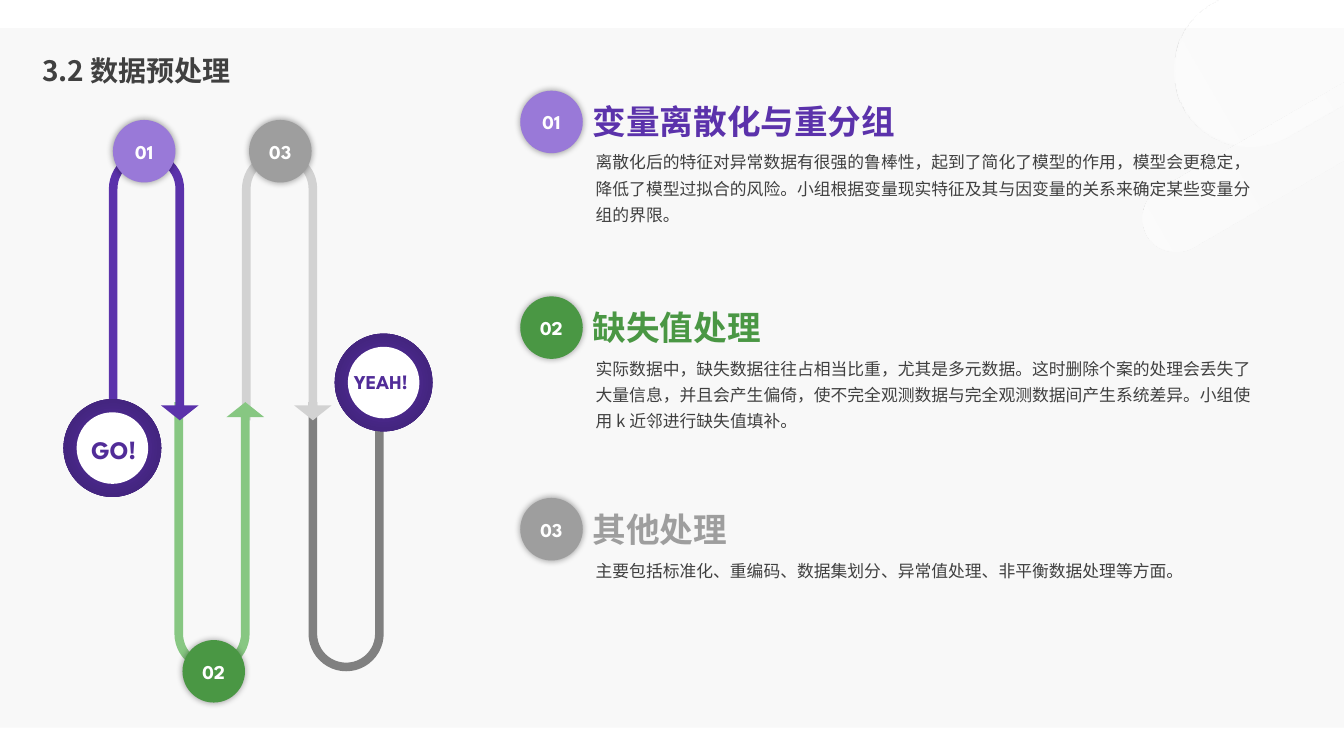
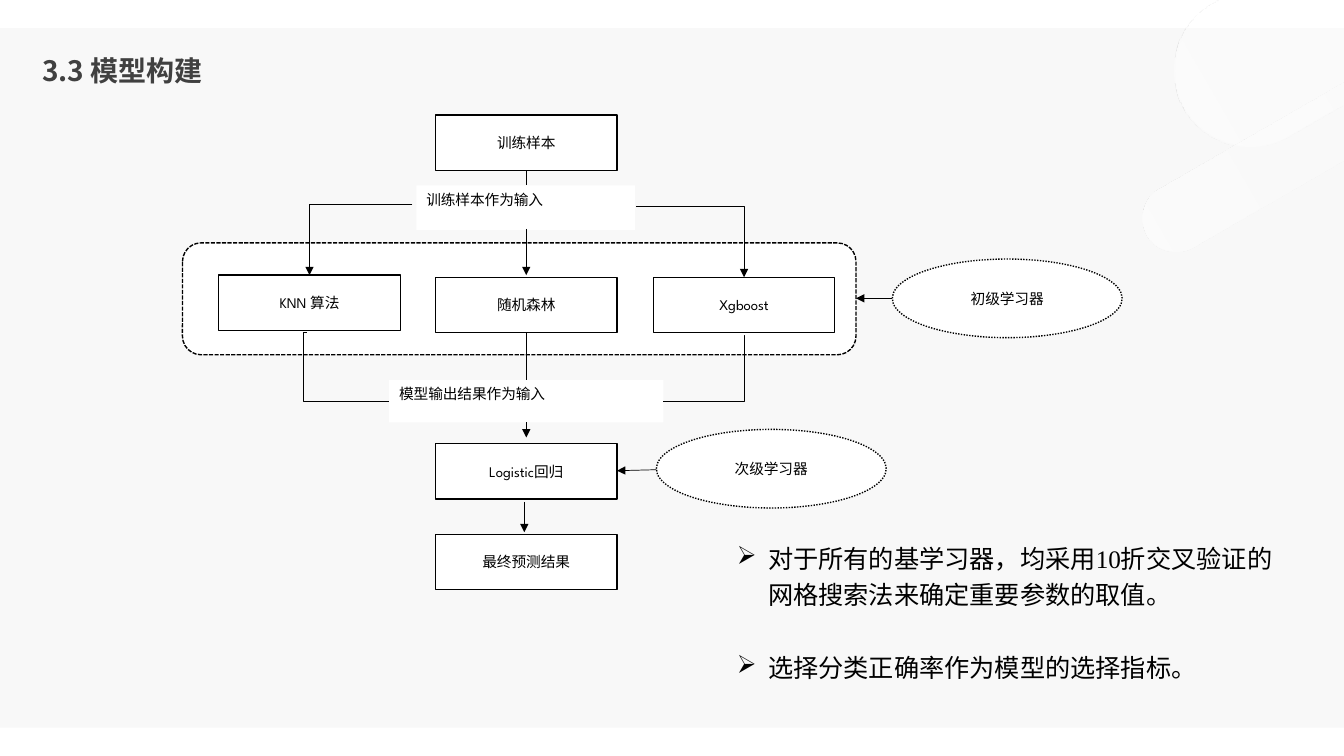
from lxml import etree
from pptx import Presentation
from pptx.dml.color import RGBColor
from pptx.enum.dml import MSO_LINE_DASH_STYLE as DASH
from pptx.enum.shapes import MSO_CONNECTOR as CONN, MSO_SHAPE as SHAPE
from pptx.enum.text import MSO_ANCHOR as ANCHOR, PP_ALIGN as ALIGN
from pptx.oxml import parse_xml
from pptx.oxml.ns import nsdecls, qn
from pptx.util import Pt

PX = 9144  # EMU, 100 px to the inch
WHITE = RGBColor(0xFF, 0xFF, 0xFF)
BLACK = RGBColor(0x00, 0x00, 0x00)
PANEL = RGBColor(0xF8, 0xF8, 0xF8)
INK = RGBColor(0x40, 0x40, 0x40)
PURPLE = RGBColor(0x5B, 0x32, 0xAB)
DEEP_PURPLE = RGBColor(0x51, 0x2C, 0x98)
LILAC = RGBColor(0x99, 0x79, 0xD8)
GREEN = RGBColor(0x4A, 0x97, 0x44)
LIGHT_GREEN = RGBColor(0x87, 0xC7, 0x82)
GRAY = RGBColor(0x9E, 0x9E, 0x9E)
LIGHT_GRAY = RGBColor(0xD2, 0xD2, 0xD2)
DARK_GRAY = RGBColor(0x80, 0x80, 0x80)
SANS, SPARTAN = "Noto Sans CJK SC", "League Spartan"

# Gradients: (position %, colour, opacity %) stops and a direction
GLASS = ([(0, "FFFFFF", 50), (21, "FFFFFF", 29), (85, "FFFFFF", 0), (100, "FFFFFF", 0)],
         '<a:lin ang="0" scaled="0"/>')
RING = ([(0, "512C98", 100), (23, "512C98", 100), (69, "442580", 100), (97, "402378", 100)],
        '<a:path path="circle"><a:fillToRect l="50000" t="50000" r="50000" b="50000"/></a:path>')


def add_box(s, kind, x, y, w, h, fill, line=None, dash=None, shadow=False):
    sp = s.shapes.add_shape(kind, x * PX, y * PX, w * PX, h * PX)
    sp.shadow.inherit = False
    spPr = sp._element.spPr
    if isinstance(fill, RGBColor):
        sp.fill.solid()
        sp.fill.fore_color.rgb = fill
    else:
        stops, direction = fill
        gs = "".join(f'<a:gs pos="{pos * 1000}"><a:srgbClr val="{color}">'
                     f'<a:alpha val="{alpha * 1000}"/></a:srgbClr></a:gs>'
                     for pos, color, alpha in stops)
        sp.fill.background()
        spPr.replace(spPr.find(qn("a:noFill")), parse_xml(
            f'<a:gradFill {nsdecls("a")} rotWithShape="1"><a:gsLst>{gs}</a:gsLst>'
            f'{direction}</a:gradFill>'))
    if line is None:
        sp.line.fill.background()
    else:
        sp.line.color.rgb = line
        sp.line.width = Pt(1)
        if dash:
            sp.line.dash_style = dash
    if shadow:
        spPr.find(qn("a:effectLst")).append(parse_xml(
            f'<a:outerShdw {nsdecls("a")} blurRad="63500" rotWithShape="0">'
            '<a:srgbClr val="000000"><a:alpha val="40000"/></a:srgbClr></a:outerShdw>'))
    return sp


def write(tf, text, p=None, size=12, color=INK, font=SANS, bold=False, align=ALIGN.LEFT,
          anchor=ANCHOR.TOP, spacing=1.0, before=0, inset=10, wrap=True):
    tf.word_wrap = wrap
    tf.vertical_anchor = anchor
    tf.margin_left = tf.margin_right = inset * PX
    p = p or tf.paragraphs[0]
    p.alignment = align
    p.line_spacing = spacing
    p.space_before = Pt(before)
    r = p.add_run()
    r.text = text
    r.font.size = Pt(size)
    r.font.bold = bold
    r.font.color.rgb = color
    r.font.name = font
    etree.SubElement(r.font._element, qn("a:ea")).set("typeface", SANS)


prs = Presentation()
prs.slide_width, prs.slide_height = 1333 * PX, 750 * PX

# Shared panel, corner bands and title
for title in ("3.2 数据预处理", "3.3 模型构建"):
    s = prs.slides.add_slide(prs.slide_layouts[6])
    add_box(s, SHAPE.RECTANGLE, 0, 28, 1333, 694, PANEL)
    for box in ((1096, -265, 1187, 151), (1102, 68, 527, 67)):
        band = add_box(s, SHAPE.ROUNDED_RECTANGLE, *box, GLASS)
        band.adjustments[0] = 0.5
        band.rotation = 330
    tb = s.shapes.add_textbox(32 * PX, 43 * PX, 499 * PX, 58 * PX)
    write(tb.text_frame, title, size=20, bold=True, anchor=ANCHOR.MIDDLE, spacing=0.9, before=10)
preprocessing, modelling = prs.slides

# Slide 1: winding path
s = preprocessing
for x, color, flipped in ((306, DARK_GRAY, True), (240, LIGHT_GRAY, False),
                          (173, LIGHT_GREEN, True), (108, PURPLE, False)):
    arrow = add_box(s, SHAPE.U_TURN_ARROW, x, 399 if flipped else 150, 89, 267, color)
    for i, value in enumerate((0.096, 0.21, 0.167, 0.438, 1)):
        arrow.adjustments[i] = value
    if flipped:
        arrow._element.spPr.xfrm.set("flipV", "1")

# Numbered badges on the path and beside the headings
for x, y, number, color in ((112, 119, "01", LILAC), (181, 635, "02", GREEN),
                            (247, 119, "03", GRAY), (516, 90, "01", LILAC),
                            (516, 294, "02", GREEN), (516, 494, "03", GRAY)):
    badge = add_box(s, SHAPE.OVAL, x, y, 62, 62, color, shadow=True)
    write(badge.text_frame, number, size=14, color=WHITE, font=SPARTAN, bold=True,
          align=ALIGN.CENTER, anchor=ANCHOR.MIDDLE, inset=0)

# Start and finish rings
for x, y, text, size, box in ((63, 396, "GO!", 18, (78, 426, 70, 40)),
                              (332, 331, "YEAH!", 14, (340, 362, 76, 34))):
    add_box(s, SHAPE.OVAL, x, y, 97, 97, RING)
    add_box(s, SHAPE.OVAL, x + 13, y + 13, 71, 71, WHITE)
    tb = s.shapes.add_textbox(*(v * PX for v in box))
    write(tb.text_frame, text, size=size, color=DEEP_PURPLE, font=SPARTAN, bold=True,
          align=ALIGN.CENTER, wrap=False)

# Headings and explanations
for y, color, heading, body in (
        (95, PURPLE, "变量离散化与重分组",
         "离散化后的特征对异常数据有很强的鲁棒性，起到了简化了模型的作用，模型会更稳定，"
         "降低了模型过拟合的风险。小组根据变量现实特征及其与因变量的关系来确定某些变量分组的界限。"),
        (300, GREEN, "缺失值处理",
         "实际数据中，缺失数据往往占相当比重，尤其是多元数据。这时删除个案的处理会丢失了大量信息，"
         "并且会产生偏倚，使不完全观测数据与完全观测数据间产生系统差异。小组使用 k 近邻进行缺失值填补。"),
        (500, GRAY, "其他处理",
         "主要包括标准化、重编码、数据集划分、异常值处理、非平衡数据处理等方面。")):
    tb = s.shapes.add_textbox(578 * PX, y * PX, 500 * PX, 50 * PX)
    write(tb.text_frame, heading, size=24, color=color, font=SPARTAN, bold=True)
    tb = s.shapes.add_textbox(581 * PX, (y + 45) * PX, 684 * PX, 86 * PX)
    write(tb.text_frame, body, spacing=1.3)

# Slide 2: learner group and flow boxes
s = modelling
group = add_box(s, SHAPE.ROUNDED_RECTANGLE, 181, 241, 668, 111, WHITE, BLACK, DASH.SQUARE_DOT)
node_format = dict(size=10.5, color=BLACK, font=SPARTAN, align=ALIGN.CENTER, anchor=ANCHOR.MIDDLE)
for x, y, text in ((217, 273, "KNN 算法"), (432, 275, "随机森林"), (648, 275, "Xgboost"),
                   (432, 440, "Logistic回归"), (432, 114, "训练样本"), (432, 530, "最终预测结果")):
    node = add_box(s, SHAPE.RECTANGLE, x, y, 180, 55, WHITE, BLACK)
    write(node.text_frame, text, **node_format)
for x, y, text in ((885, 257, "初级学习器"), (651, 426, "次级学习器")):
    learner = add_box(s, SHAPE.OVAL, x, y, 228, 78, WHITE, BLACK, DASH.ROUND_DOT)
    write(learner.text_frame, text, **node_format)

# Flow labels
for x, y, w, h, text in ((413, 184, 217, 44, "训练样本作为输入"),
                         (386, 377, 272, 42, "模型输出结果作为输入")):
    label = add_box(s, SHAPE.RECTANGLE, x, y, w, h, WHITE)
    write(label.text_frame, text, size=10.5, color=BLACK, align=ALIGN.JUSTIFY)

# Connectors: ends, arrowhead, bend preset and its adjustment
for *ends, arrowhead, bend, adjust in (
        (885, 296, 849, 296, True, None, None),
        (651, 466, 612, 467, True, None, None),
        (522, 170, 522, 184, False, None, None),
        (522, 330, 522, 377, False, None, None),
        (522, 419, 522, 434, True, None, None),
        (520, 498, 520, 528, True, None, None),
        (522, 227, 522, 273, True, None, None),
        (409, 203, 307, 273, True, "bentConnector2", None),
        (631, 205, 738, 275, True, "bentConnector2", None),
        (304, 330, 386, 398, False, "bentConnector3", -3300),
        (738, 333, 658, 398, False, "bentConnector3", -200)):
    c = s.shapes.add_connector(CONN.ELBOW if bend else CONN.STRAIGHT, *(v * PX for v in ends))
    c.line.color.rgb = BLACK
    c.line.width = Pt(0.5)
    spPr = c._element.spPr
    if bend:
        geom = spPr.find(qn("a:prstGeom"))
        geom.set("prst", bend)
        if adjust:
            gd = etree.SubElement(geom.find(qn("a:avLst")), qn("a:gd"))
            gd.set("name", "adj1")
            gd.set("fmla", f"val {adjust}")
    if arrowhead:
        etree.SubElement(spPr.find(qn("a:ln")), qn("a:tailEnd")).set("type", "triangle")
    etree.SubElement(spPr, qn("a:effectLst"))

# Bulleted remarks
tf = s.shapes.add_textbox(721 * PX, 528 * PX, 558 * PX, 154 * PX).text_frame
remarks = (
    (0, (("对于所有的基学习器，均采用", "Courier New"), ("10", "Times New Roman"),
         ("折交叉验证的网格搜索法来确定重要参数的取值。", "Courier New"))),
    (26, (("选择分类正确率作为模型的选择指标。", "Courier New"),)))
for i, (before, runs) in enumerate(remarks):
    p = tf.add_paragraph() if i else tf.paragraphs[0]
    for text, font in runs:
        write(tf, text, p=p, size=18, color=BLACK, font=font, spacing=1.2, before=before)
    pPr = p._p.get_or_add_pPr()
    pPr.set("marL", str(31 * PX))
    pPr.set("indent", str(-31 * PX))
    etree.SubElement(pPr, qn("a:buChar")).set("char", "➢")

prs.save("out.pptx")
